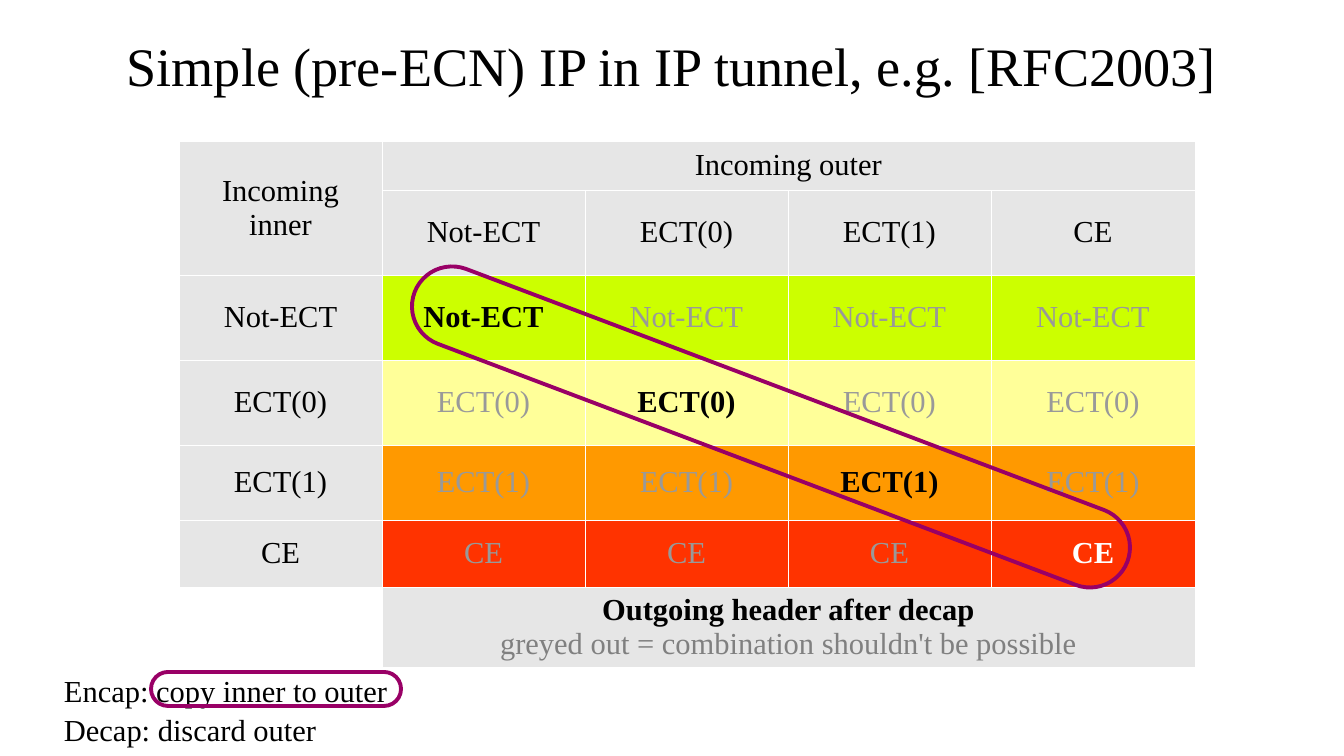
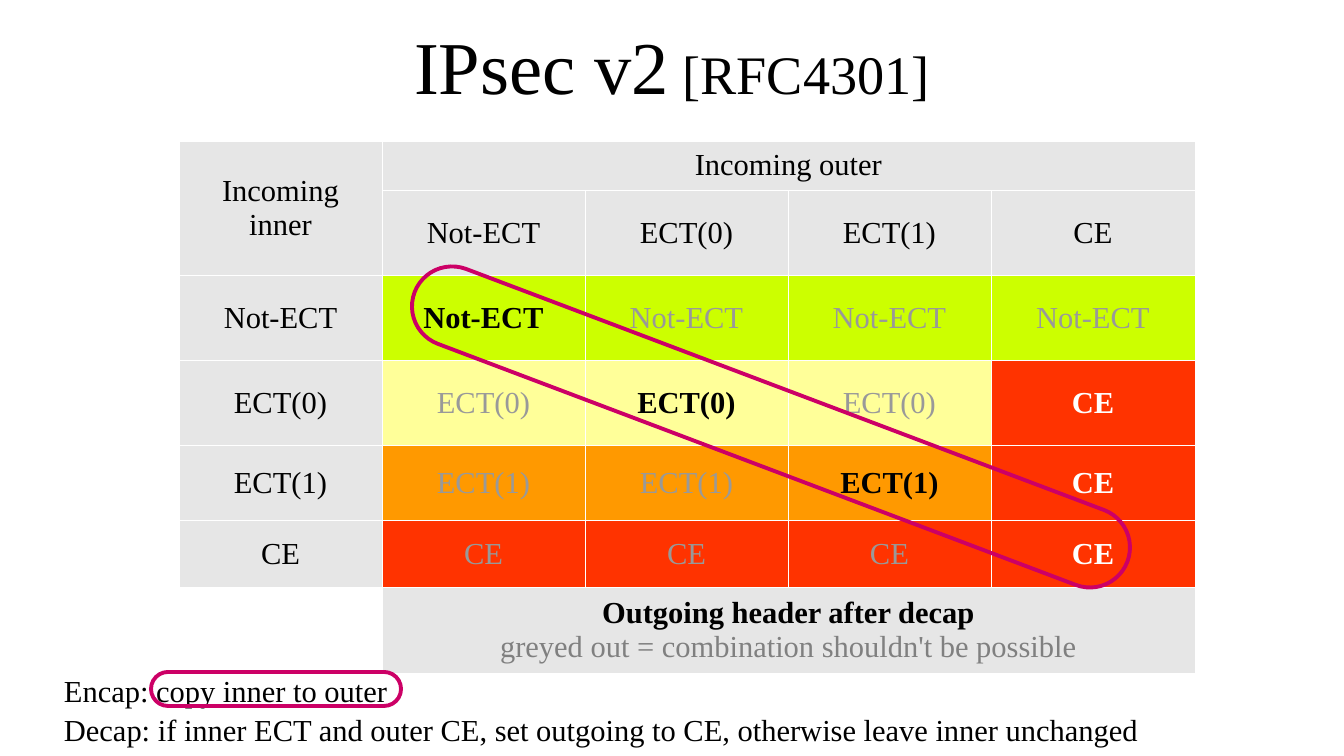
import pptx
import pptx.util
import pptx.dml.color
import pptx.enum.shapes
import pptx.enum.text
import pptx.oxml
import pptx.oxml.ns

PX = 914400 / 122
FONT = "Times New Roman"
COLOURS = {
    "white": "FFFFFF", "black": "000000", "header": "E6E6E6",
    "impossible": "999999", "caption": "808080",
    "purple": "990066", "magenta": "CC0066",
    "Not-ECT": "CCFF00", "ECT(0)": "FFFF99", "ECT(1)": "FF9900", "CE": "FF3300",
}
CODEPOINTS = ["Not-ECT", "ECT(0)", "ECT(1)", "CE"]
COLUMN_WIDTHS = [203, 203, 203, 203, 204]
ROW_HEIGHTS = [49, 85, 85, 85, 75, 67, 80]
ALIGN = pptx.enum.text.PP_ALIGN
MIDDLE = pptx.enum.text.MSO_ANCHOR.MIDDLE


def px(length):
    return pptx.util.Emu(round(length * PX))


def colour(name):
    return pptx.dml.color.RGBColor.from_string(COLOURS[name])


def keep_inner(inner, outer):
    return inner


def pass_on_ce(inner, outer):
    return "CE" if outer == "CE" and inner != "Not-ECT" else inner


class TunnelDeck:
    def __init__(self):
        self.deck = pptx.Presentation()
        self.deck.slide_width, self.deck.slide_height = px(1344), px(756)
        self.page = None

    def new_page(self):
        self.page = self.deck.slides.add_slide(self.deck.slide_layouts[6])

    def span(self, para, text, size=18, tint="black", bold=False):
        run = para.add_run()
        run.text = text
        run.font.name, run.font.size, run.font.bold = FONT, pptx.util.Pt(size), bold
        run.font.color.rgb = colour(tint)

    def title(self, *spans):
        """Centred title made of (text, size) spans."""
        box = self.page.shapes.add_textbox(px(67), px(1), px(1210), px(127))
        frame = box.text_frame
        frame.word_wrap, frame.vertical_anchor = True, MIDDLE
        frame.margin_left = frame.margin_right = frame.margin_top = frame.margin_bottom = 0
        para = frame.paragraphs[0]
        para.alignment = ALIGN.CENTER
        for text, size in spans:
            self.span(para, text, size)

    def rule_lines(self, *lines):
        box = self.page.shapes.add_textbox(px(52), px(666), px(1200), px(79))
        frame = box.text_frame
        frame.word_wrap = True
        for index, line in enumerate(lines):
            para = frame.add_paragraph() if index else frame.paragraphs[0]
            para.space_before = pptx.util.Pt(1.5)
            self.span(para, line)

    def ring(self, left, top, width, height, tint, rotation=0):
        """Unfilled outline with fully rounded ends."""
        ring = self.page.shapes.add_shape(
            pptx.enum.shapes.MSO_SHAPE.ROUNDED_RECTANGLE,
            px(left), px(top), px(width), px(height))
        ring.adjustments[0] = 0.5
        ring.rotation = rotation
        ring.shadow.inherit = False
        ring.fill.background()
        ring.line.color.rgb = colour(tint)
        ring.line.width = pptx.util.Pt(2.3)

    def style_cell(self, cell, fill):
        properties = cell._tc.get_or_add_tcPr()
        for side in ("lnL", "lnR", "lnT", "lnB"):
            properties.append(pptx.oxml.parse_xml(
                f'<a:{side} {pptx.oxml.ns.nsdecls("a")} w="720"><a:solidFill>'
                f'<a:srgbClr val="{COLOURS["white"]}"/></a:solidFill></a:{side}>'))
        cell.fill.solid()
        cell.fill.fore_color.rgb = colour(fill)
        cell.vertical_anchor = MIDDLE
        cell.text_frame.paragraphs[0].alignment = ALIGN.CENTER

    def cell_text(self, cell, text, fill="header", **font):
        self.style_cell(cell, fill)
        self.span(cell.text_frame.paragraphs[0], text, **font)

    def decap_table(self, outgoing):
        """Grid of outgoing(inner, outer), greyed where the pair cannot occur."""
        table = self.page.shapes.add_table(
            len(ROW_HEIGHTS), len(COLUMN_WIDTHS), px(179), px(141),
            px(sum(COLUMN_WIDTHS)), px(sum(ROW_HEIGHTS))).table
        table.first_row = table.horz_banding = False
        for column, width in zip(table.columns, COLUMN_WIDTHS):
            column.width = px(width)
        for row, height in zip(table.rows, ROW_HEIGHTS):
            row.height = px(height)

        table.cell(0, 0).merge(table.cell(1, 0))
        for row in (0, 6):
            table.cell(row, 1).merge(table.cell(row, 4))
        self.cell_text(table.cell(0, 0), "Incoming inner")
        self.cell_text(table.cell(0, 1), "Incoming outer")
        for column, outer in enumerate(CODEPOINTS, 1):
            self.cell_text(table.cell(1, column), outer)
        for row, inner in enumerate(CODEPOINTS, 2):
            self.cell_text(table.cell(row, 0), inner)
            for column, outer in enumerate(CODEPOINTS, 1):
                result = outgoing(inner, outer)
                possible = inner == outer or result != inner
                tint = "impossible"
                if possible:
                    tint = "white" if result == "CE" else "black"
                self.cell_text(table.cell(row, column), result, result,
                               tint=tint, bold=possible)

        self.style_cell(table.cell(6, 0), "white")
        caption = table.cell(6, 1)
        self.cell_text(caption, "Outgoing header after decap", bold=True)
        para = caption.text_frame.paragraphs[0]
        para.add_line_break()
        self.span(para, "greyed out = combination shouldn't be possible", tint="caption")

    def tunnel_page(self, title, outgoing, decap, tint):
        self.new_page()
        self.decap_table(outgoing)
        self.title(*title)
        self.rule_lines("Encap: copy inner to outer", f"Decap: {decap}")
        self.ring(390, 387, 762, 80, tint, rotation=20.7)
        self.ring(151, 672, 250, 34, tint)


def main():
    tunnels = TunnelDeck()
    tunnels.tunnel_page(
        [("Simple (pre-ECN) IP in IP tunnel, e.g. [RFC2003]", 32)],
        keep_inner, "discard outer", "purple")
    tunnels.tunnel_page(
        [("IPsec v2", 44), (" [RFC4301]", 32)], pass_on_ce,
        "if inner ECT and outer CE, set outgoing to CE, otherwise leave inner unchanged",
        "magenta")
    tunnels.deck.save("out.pptx")


if __name__ == "__main__":
    main()
